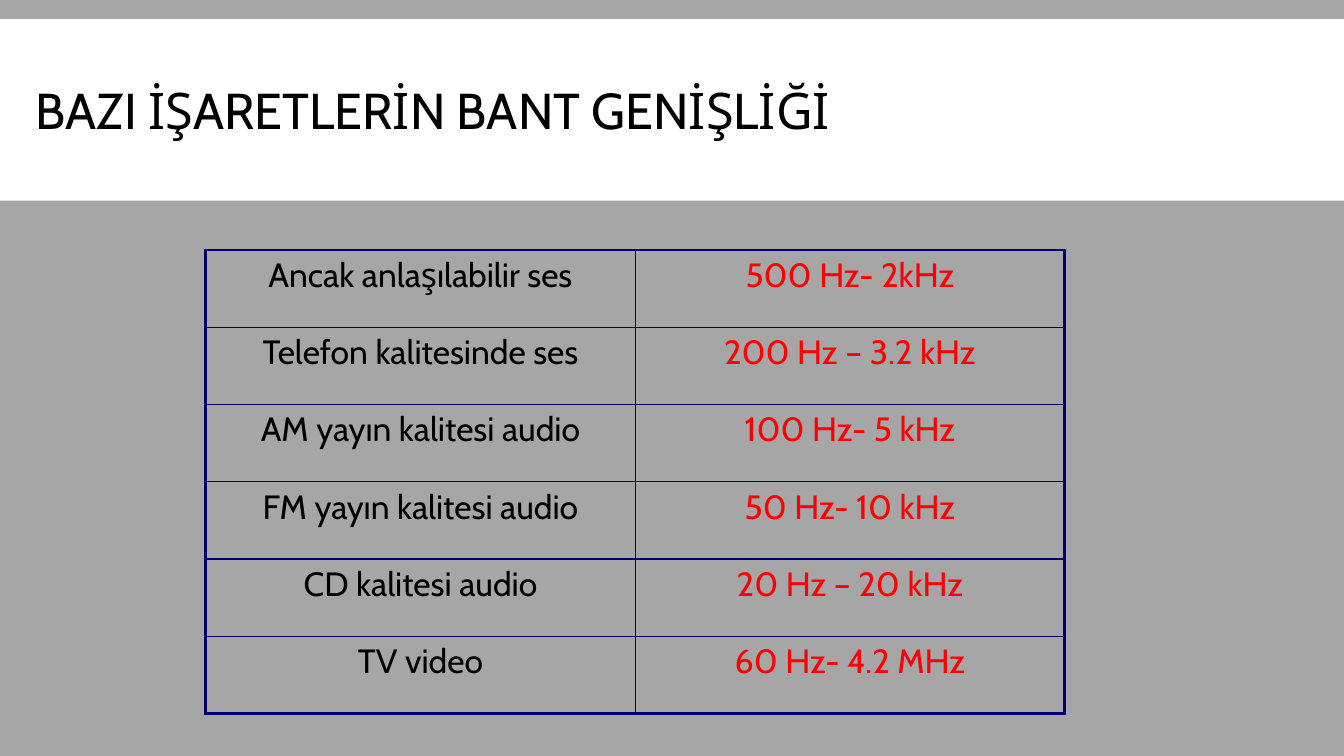
from lxml.etree import SubElement as Sub
from pptx import Presentation as Deck
from pptx.dml.color import RGBColor as Color
from pptx.enum.shapes import MSO_SHAPE as Shape
from pptx.enum.text import MSO_ANCHOR as Anchor, MSO_AUTO_SIZE as Fit, PP_ALIGN as Align
from pptx.oxml.ns import qn
from pptx.util import Inches, Pt

WIDE, HIGH = 13.33, 7.5
BLACK, WHITE, RED, NAVY, GREY = "000000", "FFFFFF", "FF0000", "000066", "A6A6A6"
THICK, THIN = 2.25, 1

BANDS = [
    ("Ancak anlaşılabilir ses", "500 Hz- 2kHz"),
    ("Telefon kalitesinde ses", "200 Hz – 3.2 kHz"),
    ("AM yayın kalitesi audio", "100 Hz- 5 kHz"),
    ("FM yayın kalitesi audio", "50 Hz- 10 kHz"),
    ("CD kalitesi audio", "20 Hz – 20 kHz"),
    ("TV video", "60 Hz- 4.2 MHz"),
]


def paint(fill, tone):
    fill.solid()
    fill.fore_color.rgb = Color.from_string(tone)


def write(frame, text, size=24, tone=BLACK, align=Align.CENTER, lines=1.0):
    frame.text = text
    frame.word_wrap = True
    para = frame.paragraphs[0]
    para.alignment, para.line_spacing, para.space_before = align, lines, Pt(0)
    font = para.runs[0].font
    font.name, font.size, font.bold = "Cabin", Pt(size), False
    font.color.rgb = Color.from_string(tone)


def edge(cell, sides):
    """Draw the cell's borders; sides maps L, R, T and B, in that order, to points."""
    props = cell._tc.get_or_add_tcPr()
    for spot, (side, width) in enumerate(sides.items()):
        line = Sub(props, qn(f"a:ln{side}"), w=str(Pt(width)))
        Sub(Sub(line, qn("a:solidFill")), qn("a:srgbClr"), val=NAVY)
        props.insert(spot, line)


class Page:
    """Holds the slide; every box is (left, top, width, height) in shares of its size."""

    def __init__(self, deck):
        self.slide = deck.slides.add_slide(deck.slide_layouts[5])
        self.size = deck.slide_width, deck.slide_height
        paint(self.slide.background.fill, GREY)

    def place(self, box):
        return [round(part * full) for part, full in zip(box, self.size * 2)]

    def band(self, box, tone):
        shapes = self.slide.shapes
        band = shapes.add_shape(Shape.RECTANGLE, *self.place(box))
        band.shadow.inherit = False
        paint(band.fill, tone)
        band.line.fill.background()
        shapes._spTree.insert(2, band._element)  # behind the title

    def title(self, box, text, **style):
        title = self.slide.shapes.title
        title.left, title.top, title.width, title.height = self.place(box)
        frame = title.text_frame
        frame.auto_size, frame.vertical_anchor = Fit.NONE, Anchor.MIDDLE
        write(frame, text, **style)

    def table(self, box, rows, tones):
        """Fill a table with even rows and columns, one text colour per column."""
        last, end = len(rows) - 1, len(tones) - 1
        table = self.slide.shapes.add_table(
            len(rows), len(tones), *self.place(box)).table
        table.first_row = table.horz_banding = False
        for r, row in enumerate(rows):
            for c, (text, tone) in enumerate(zip(row, tones)):
                cell = table.cell(r, c)
                write(cell.text_frame, text, tone=tone)
                cell.fill.background()
                edge(cell, {
                    "L": THICK if c == 0 else THIN,
                    "R": THICK if c == end else THIN,
                    "T": THICK if r == 0 else THIN,
                    "B": THICK if r == last else THIN,
                })


def main():
    deck = Deck()
    deck.slide_width, deck.slide_height = Inches(WIDE), Inches(HIGH)
    page = Page(deck)
    page.band((0, 0.19 / HIGH, 1, 0.24), WHITE)
    page.title((0.25 / WIDE, 0.31 / HIGH, 11.77 / WIDE, 0.22),
               "BAZI İŞARETLERİN BANT GENİŞLİĞİ",
               size=36, align=Align.LEFT, lines=0.85)
    page.table((2.04 / WIDE, 2.48 / HIGH, 8.52 / WIDE, 4.6 / HIGH),
               BANDS, (BLACK, RED))
    deck.save("out.pptx")


if __name__ == "__main__":
    main()
